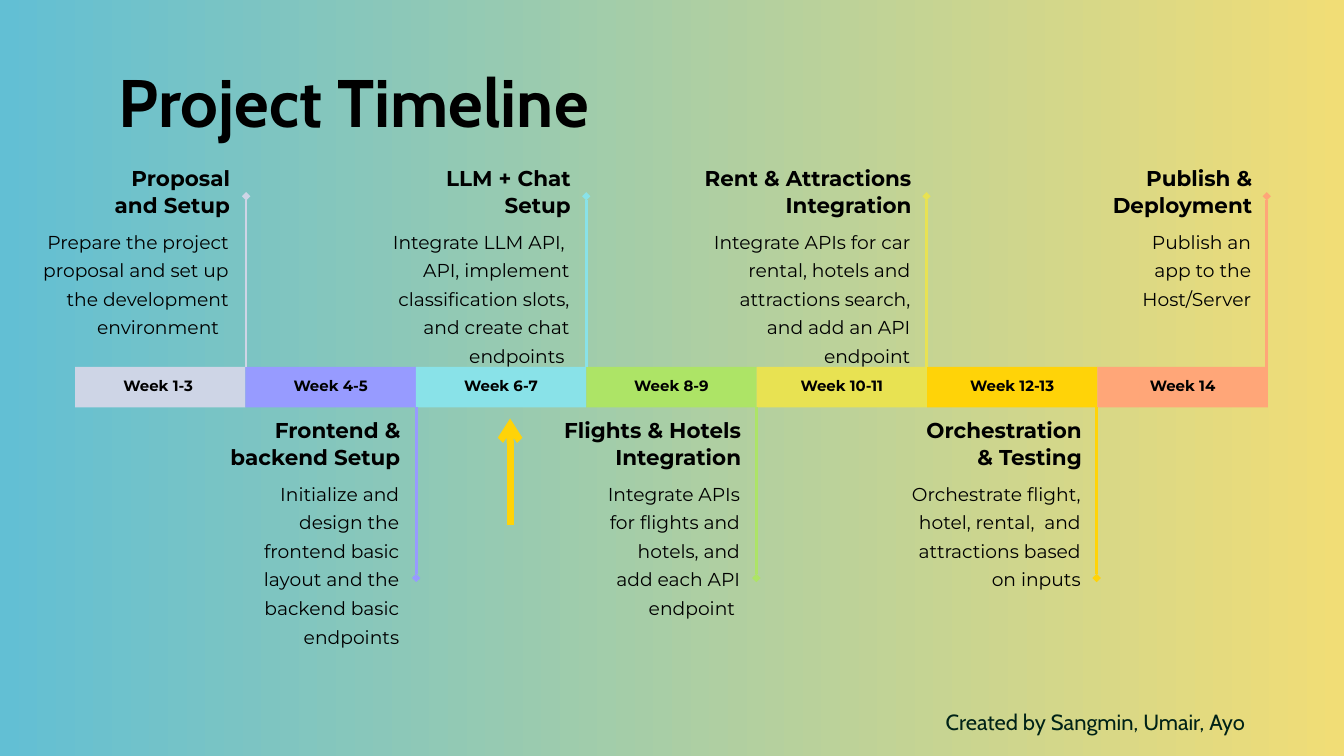
from dataclasses import dataclass

from lxml.etree import SubElement
from pptx import Presentation
from pptx.dml.color import RGBColor
from pptx.enum.shapes import MSO_CONNECTOR, MSO_SHAPE
from pptx.enum.text import MSO_ANCHOR, PP_ALIGN
from pptx.oxml.ns import qn
from pptx.slide import Slide
from pptx.text.text import TextFrame
from pptx.util import Cm, Pt


@dataclass(frozen=True)
class Style:
    font: str
    size: float
    lead: float
    bold: bool = False
    ink: str = "000000"


@dataclass(frozen=True)
class Theme:
    left: str = "62BFD4"
    right: str = "F1DD76"
    mark: str = "FFD308"
    title: Style = Style("Cabin", 72, 85, True)
    week: Style = Style("Montserrat", 16, 22.4, True)
    head: Style = Style("Montserrat", 23, 29.4, True)
    body: Style = Style("Montserrat", 20, 30.6)
    credit: Style = Style("Cabin", 23.5, 30.5, ink="002217")


@dataclass(frozen=True)
class Phase:
    week: str
    head: str
    body: str
    color: str
    head_w: float
    body_w: float


THEME = Theme()
# All lengths below are in centimetres.
LEFT, STEP = 2.84, 6.44
BAND_TOP, BAND_H = 13.87, 1.53
STEM_X, STEM_STEP, STEM_LEN = 9.3, 6.43, 6.45
HEAD_END, BODY_END = 8.7, 8.65  # right edges of the first phase's texts
HEAD_H, BODY_H, BODY_DROP = 2.06, 5.2, 2.31
UPPER, LOWER = 6.17, 15.7  # tops of the two rows of headings

PHASES = [
    Phase("Week 1-3 ", "Proposal and Setup",
          "Prepare the project proposal and set up the development environment  ",
          "CED5E6", 5.23, 7.06),
    Phase("Week 4-5", "Frontend & backend Setup",
          "Initialize and design the frontend basic layout and the backend basic endpoints",
          "979BFF", 6.45, 5.79),
    Phase("Week 6-7", "LLM + Chat Setup",
          "Integrate LLM API,  API, implement classification slots, and create chat endpoints ",
          "89E2E8", 5.23, 7.01),
    Phase("Week 8-9", "Flights & Hotels Integration",
          "Integrate APIs for flights and hotels, and add each API endpoint ",
          "ADE466", 7.11, 5.16),
    Phase("Week 10-11", "Rent & Attractions Integration",
          "Integrate APIs for car rental, hotels and attractions search, and add an API endpoint",
          "E8E252", 8.36, 7.57),
    Phase("Week 12-13", "Orchestration & Testing",
          "Orchestrate flight, hotel, rental,  and attractions based on inputs",
          "FFD308", 6.4, 6.45),
    Phase("Week 14", "Publish & Deployment",
          "Publish an app to the Host/Server",
          "FFA678", 5.89, 5.16),
]


def rgb(code: str) -> RGBColor:
    return RGBColor.from_string(code)


def write(frame: TextFrame, text: str, style: Style, align: PP_ALIGN) -> None:
    frame.text = text
    frame.word_wrap = True
    frame.vertical_anchor = MSO_ANCHOR.TOP
    frame.margin_left = frame.margin_right = 0
    frame.margin_top = frame.margin_bottom = 0
    para = frame.paragraphs[0]
    para.alignment = align
    para.line_spacing = Pt(style.lead)
    font = para.runs[0].font
    font.name, font.size, font.bold = style.font, Pt(style.size), style.bold
    font.color.rgb = rgb(style.ink)


def add_text(slide: Slide, x: float, y: float, w: float, h: float,
             text: str, style: Style, align: PP_ALIGN) -> None:
    box = slide.shapes.add_textbox(Cm(x), Cm(y), Cm(w), Cm(h))
    write(box.text_frame, text, style, align)


def add_line(slide: Slide, x: float, start: float, end: float,
             color: str, width: float, tip: str) -> None:
    """Draw an upright line with the given arrowhead at its end."""
    line = slide.shapes.add_connector(
        MSO_CONNECTOR.STRAIGHT, Cm(x), Cm(start), Cm(x), Cm(end))
    line.line.color.rgb = rgb(color)
    line.line.width = Pt(width)
    props = line._element.spPr
    SubElement(props.find(qn("a:ln")), qn("a:tailEnd"), type=tip)
    SubElement(props, qn("a:effectLst"))


def add_band(slide: Slide, i: int, phase: Phase) -> None:
    band = slide.shapes.add_shape(
        MSO_SHAPE.RECTANGLE, Cm(LEFT + i * STEP), Cm(BAND_TOP), Cm(STEP), Cm(BAND_H))
    band.shadow.inherit = False
    band.fill.solid()
    band.fill.fore_color.rgb = rgb(phase.color)
    band.line.fill.background()
    frame = band.text_frame
    write(frame, phase.week, THEME.week, PP_ALIGN.CENTER)
    frame.vertical_anchor = MSO_ANCHOR.MIDDLE
    frame.margin_bottom = Cm(0.25)


def add_phase(slide: Slide, i: int, phase: Phase) -> None:
    """Draw stem, heading and body, above the band for even i, else below."""
    above = i % 2 == 0
    start = BAND_TOP if above else BAND_TOP + BAND_H
    end = start - STEM_LEN if above else start + STEM_LEN
    top = UPPER if above else LOWER
    add_line(slide, STEM_X + i * STEM_STEP, start, end, phase.color, 3, "diamond")
    add_text(slide, HEAD_END + i * STEP - phase.head_w, top, phase.head_w, HEAD_H,
             phase.head, THEME.head, PP_ALIGN.RIGHT)
    add_text(slide, BODY_END + i * STEP - phase.body_w, top + BODY_DROP,
             phase.body_w, BODY_H, phase.body, THEME.body, PP_ALIGN.RIGHT)


def add_back(slide: Slide) -> None:
    fill = slide.background.fill
    fill.gradient()
    fill.gradient_angle = 0
    for stop, color in zip(fill.gradient_stops, (THEME.left, THEME.right)):
        stop.color.rgb = rgb(color)


def main() -> None:
    deck = Presentation()
    deck.slide_width, deck.slide_height = Cm(50.8), Cm(28.58)
    slide = deck.slides.add_slide(deck.slide_layouts[5])
    add_back(slide)

    title = slide.shapes.title
    title.left, title.top = Cm(LEFT), Cm(2.34)
    title.width, title.height = Cm(21.06), Cm(3)
    write(title.text_frame, "Project Timeline", THEME.title, PP_ALIGN.CENTER)

    for i, phase in enumerate(PHASES):
        add_band(slide, i, phase)
    for i, phase in enumerate(PHASES):
        add_phase(slide, i, phase)

    add_line(slide, 19.28, 19.84, 15.82, THEME.mark, 7.5, "arrow")
    add_text(slide, 34.85, 26.72, 13.11, 1.02, "Created by Sangmin, Umair, Ayo",
             THEME.credit, PP_ALIGN.CENTER)
    deck.save("out.pptx")


if __name__ == "__main__":
    main()
